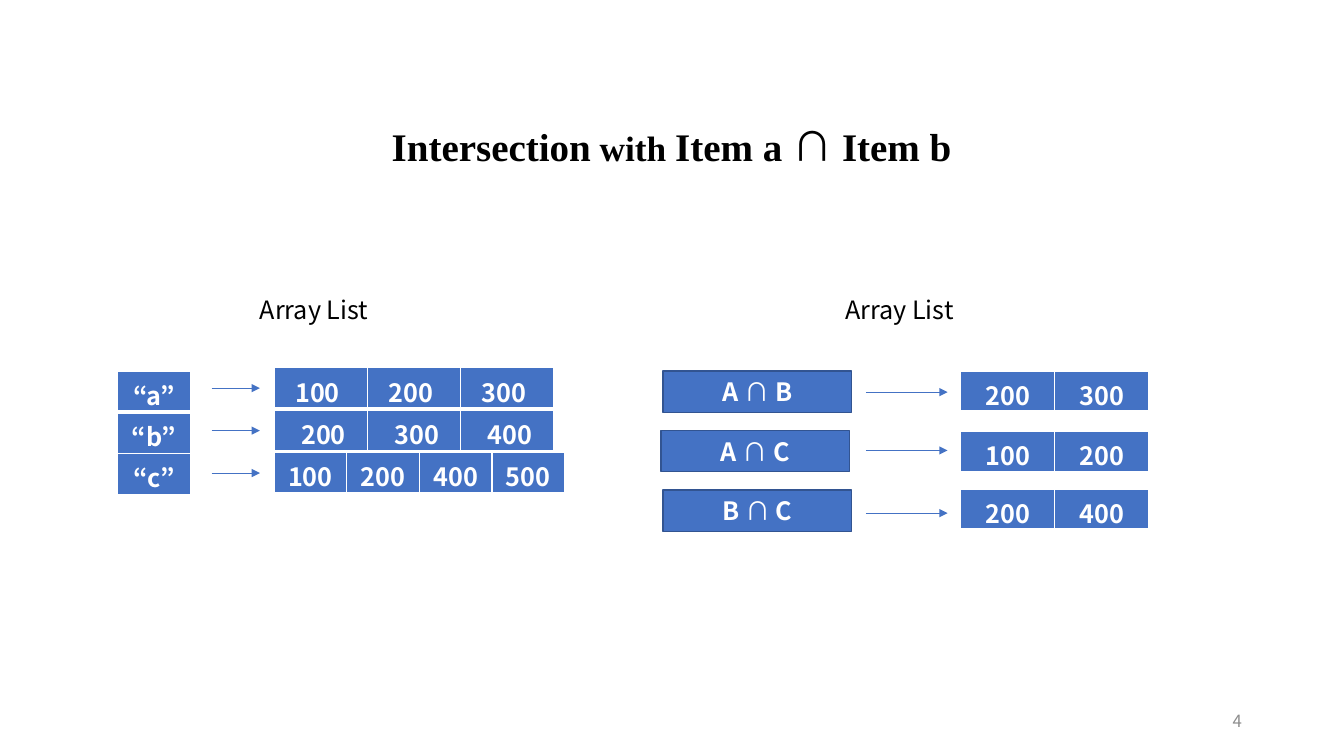
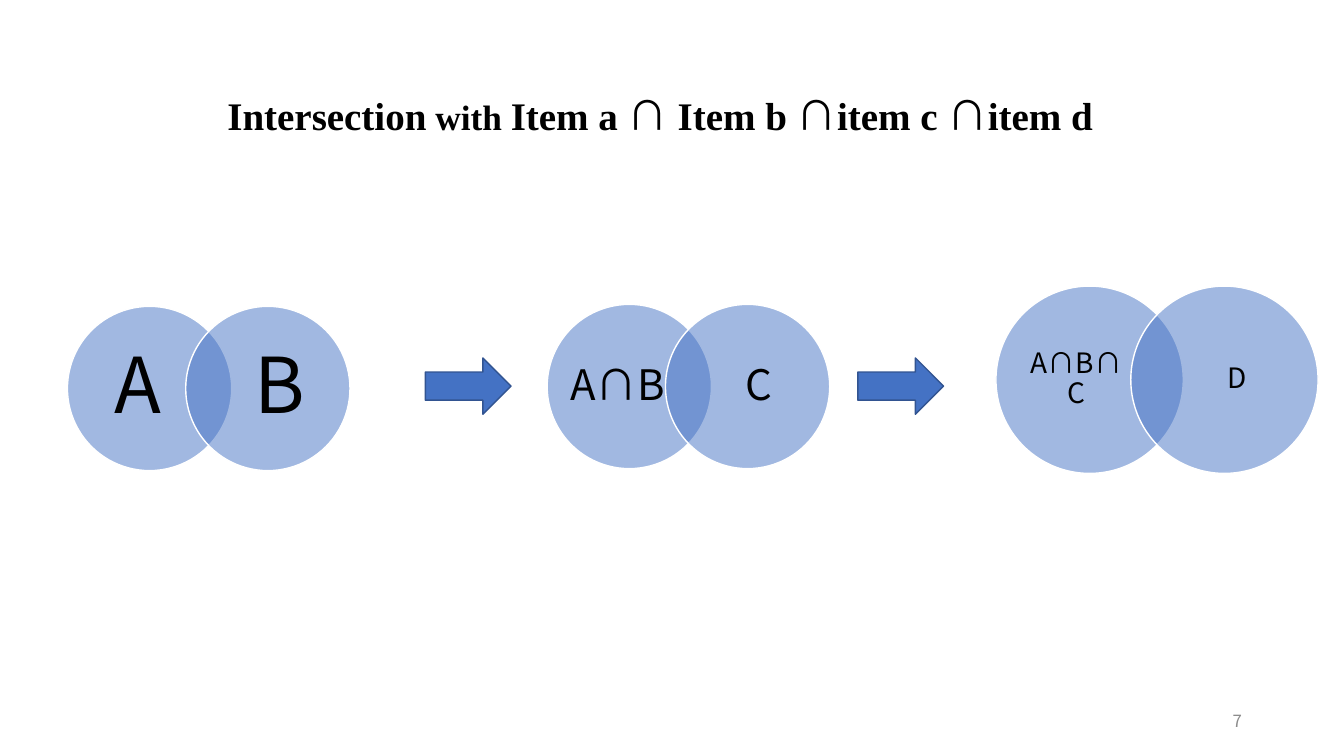
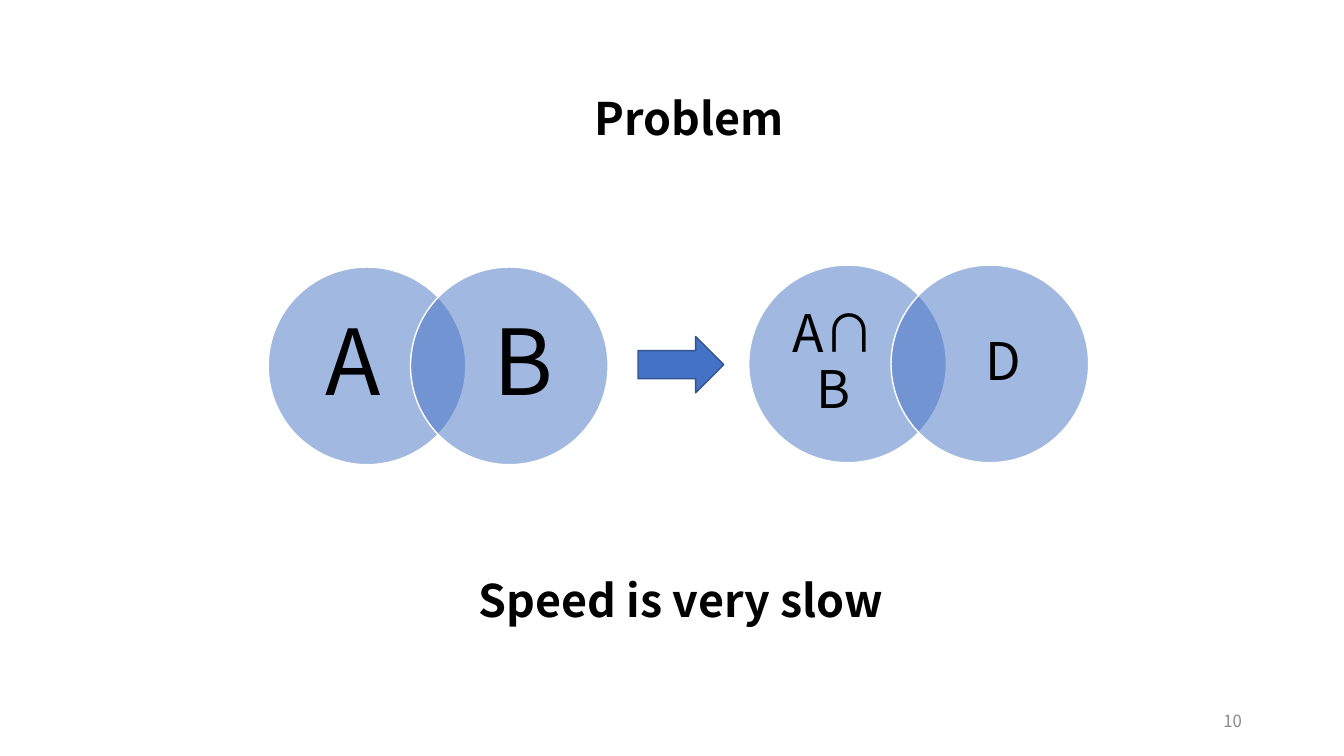
from lxml import etree
from pptx import Presentation
from pptx.dml.color import RGBColor
from pptx.enum.shapes import MSO_CONNECTOR, MSO_SHAPE
from pptx.enum.text import MSO_ANCHOR, MSO_AUTO_SIZE, PP_ALIGN
from pptx.oxml.ns import qn
from pptx.util import Cm, Pt

COLORS = {"blue": "4472C4", "edge": "325491", "white": "FFFFFF",
          "black": "000000", "gray": "8C8C8C"}
SANS = "Noto Sans CJK KR"
SERIF = "Times New Roman"
LEFT, CENTER, RIGHT = PP_ALIGN.LEFT, PP_ALIGN.CENTER, PP_ALIGN.RIGHT
TOP, MIDDLE = MSO_ANCHOR.TOP, MSO_ANCHOR.MIDDLE
NO_AUTOSIZE = MSO_AUTO_SIZE.NONE
STRAIGHT = MSO_CONNECTOR.STRAIGHT
RECTANGLE, ELLIPSE, RIGHT_ARROW = (
    MSO_SHAPE.RECTANGLE, MSO_SHAPE.OVAL, MSO_SHAPE.RIGHT_ARROW)
CAP = "∩"
ROW_HEIGHT = 1.04


def rgb(name):
    return RGBColor.from_string(COLORS[name])


# Text
def format_span(span, size, font=SANS, bold=False, color="black"):
    span.font.size = Pt(size)
    span.font.bold = bold
    span.font.name = font
    span.font.color.rgb = rgb(color)
    east_asian = etree.SubElement(span._r.get_or_add_rPr(), qn("a:ea"))
    east_asian.set("typeface", font)


def split_caps(text, size, font=SANS, cap_size=None):
    """Bold spans, with each intersection sign in a regular span."""
    spans = []
    for index, part in enumerate(text.split(CAP)):
        if index:
            spans.append((CAP, cap_size or size, SANS, False))
        spans.append((part, size, font, True))
    return spans


def add_spans(para, spans, color="black"):
    for text, size, font, bold in spans:
        span = para.add_run()
        span.text = text
        format_span(span, size, font, bold, color)


def add_text(page, text, place, size, bold=False, color="black",
             align=CENTER, anchor=TOP):
    box = page.shapes.add_textbox(*[Cm(value) for value in place])
    frame = box.text_frame
    frame.word_wrap = True
    frame.vertical_anchor = anchor
    frame.text = text
    para = frame.paragraphs[0]
    para.alignment = align
    format_span(para.runs[0], size, bold=bold, color=color)
    return box


def add_page(deck, number, place, title_spans, line_spacing):
    """Title-only page with its title and page number."""
    page = deck.slides.add_slide(deck.slide_layouts[5])
    title = page.shapes.title
    title.left, title.top, title.width, title.height = map(Cm, place)
    frame = title.text_frame
    frame.word_wrap = True
    frame.auto_size = NO_AUTOSIZE
    frame.vertical_anchor = MIDDLE
    para = frame.paragraphs[0]
    para.alignment = CENTER
    para.line_spacing = line_spacing
    add_spans(para, title_spans)
    add_text(page, str(number), (23.93, 17.65, 7.62, 1.01), 12,
             color="gray", align=RIGHT, anchor=MIDDLE)
    return page


def intersection_title(items):
    return [("Intersection", 27.9, SERIF, True), (" with ", 25.2, SERIF, True),
            *split_caps(items, 27.9, SERIF, cap_size=28.8)]


# Shapes and arrows
def add_block(page, preset, place, line="edge"):
    block = page.shapes.add_shape(preset, *[Cm(value) for value in place])
    block.shadow.inherit = False
    block.fill.solid()
    block.fill.fore_color.rgb = rgb("blue")
    block.line.color.rgb = rgb(line)
    block.line.width = Pt(1)
    return block


def add_set_box(page, text, left, top):
    box = add_block(page, RECTANGLE, (left, top, 4.75, ROW_HEIGHT))
    frame = box.text_frame
    frame.vertical_anchor = MIDDLE
    para = frame.paragraphs[0]
    para.alignment = CENTER
    add_spans(para, split_caps(text, 18), "white")


def add_arrow(page, start, end, y):
    arrow = page.shapes.add_connector(STRAIGHT, Cm(start), Cm(y), Cm(end), Cm(y))
    arrow.line.color.rgb = rgb("blue")
    arrow.line.width = Pt(0.5)
    etree.SubElement(arrow.line._get_or_add_ln(), qn("a:tailEnd"), type="triangle")
    etree.SubElement(arrow._element.spPr, qn("a:effectLst"))


def add_venn(page, left, top, diameter, names, size):
    """Two overlapping circles; label places follow from the diameter."""
    for name, shift, inset in zip(names, (0, 0.72), (0.14, 0.28)):
        x = left + shift * diameter
        circle = add_block(page, ELLIPSE, (x, top, diameter, diameter), "white")
        color = circle._element.spPr.find(qn("a:solidFill"))[0]
        etree.SubElement(color, qn("a:alpha"), val="50000")
        place = (x + inset * diameter, top + 0.12 * diameter,
                 0.58 * diameter, 0.76 * diameter)
        label = add_text(page, name, place, size, anchor=MIDDLE)
        frame = label.text_frame
        frame.margin_left = frame.margin_right = 0
        frame.margin_top = frame.margin_bottom = 0
        frame.paragraphs[0].line_spacing = 0.9


def add_flow_arrow(page, left, top):
    add_block(page, RIGHT_ARROW, (left, top, 2.16, 1.42))


# Tables
def add_borders(cell, bottom):
    properties = cell._tc.get_or_add_tcPr()
    for side, width in (("L", 1), ("R", 1), ("T", 1), ("B", bottom)):
        line = etree.SubElement(properties, qn("a:ln" + side), w=str(Pt(width)))
        fill = etree.SubElement(line, qn("a:solidFill"))
        etree.SubElement(fill, qn("a:srgbClr"), val=COLORS["white"])


def add_array(page, rows, left, top, column, align=CENTER, indent=0.25, bottom=0):
    columns = len(rows[0])
    frame = page.shapes.add_table(len(rows), columns, Cm(left), Cm(top),
                                  Cm(column * columns), Cm(ROW_HEIGHT * len(rows)))
    table = frame.table
    table.first_row = table.horz_banding = False
    for line in table.columns:
        line.width = Cm(column)
    for row, values in enumerate(rows):
        for index, value in enumerate(values):
            cell = table.cell(row, index)
            add_borders(cell, bottom=1 if row else 3)
            cell.fill.solid()
            cell.fill.fore_color.rgb = rgb("blue")
            cell.margin_left = Cm(indent)
            cell.margin_bottom = Cm(bottom)
            cell.text = value
            para = cell.text_frame.paragraphs[0]
            para.alignment = align
            format_span(para.runs[0], 18, bold=True, color="white")


# Pages
def build_lists_page(deck):
    page = add_page(deck, 4, (7.44, 3.18, 18.97, 1.12),
                    intersection_title("Item a ∩ Item b"), 0.9)
    for left in (3.51, 18.26):
        add_text(page, "Array List", (left, 7.29, 8.81, 1.02), 18)

    # Items and their lists
    add_array(page, [["“a”"], ["“b”"], ["“c”"]], 2.97, 9.35, 1.83, bottom=0.13)
    add_array(page, [["100", "200", "300"]], 6.91, 9.27, 2.35, LEFT, indent=0.53)
    add_array(page, [["200", "300", "400"]], 6.91, 10.34, 2.35, indent=0.39)
    add_array(page, [["100", "200", "400", "500"]], 6.91, 11.4, 1.83, bottom=0.13)
    for index in range(3):
        add_arrow(page, 5.33, 6.55, 9.78 + 1.07 * index)

    # Pairs and their intersections
    pairs = [("A ∩ B", 16.71, ["200", "300"], 9.35, 9.88),
             ("A ∩ C", 16.66, ["100", "200"], 10.87, 11.35),
             ("B ∩ C", 16.71, ["200", "400"], 12.32, 12.93)]
    for index, (name, left, values, top, arrow_y) in enumerate(pairs):
        add_set_box(page, name, left, 9.35 + 1.5 * index)
        add_arrow(page, 21.82, 23.88, arrow_y)
        add_array(page, [values], 24.21, top, 2.37)


def build_chain_page(deck):
    page = add_page(deck, 7, (4.39, 2.41, 24.49, 1.12),
                    intersection_title("Item a ∩ Item b ∩item c ∩item d"), 0.9)
    add_venn(page, 1.7, 7.72, 4.14, ("A", "B"), 55)
    add_venn(page, 13.79, 7.67, 4.14, ("A∩B", "C"), 30)
    add_venn(page, 25.1, 7.21, 4.72, ("A∩B∩C", "D"), 20)
    for left in (10.72, 21.62):
        add_flow_arrow(page, left, 9.02)


def build_problem_page(deck):
    page = add_page(deck, 10, (8.46, 2.16, 17.81, 1.63),
                    [("Problem", 32, SANS, True)], 1.0)
    add_venn(page, 6.76, 6.73, 4.98, ("A", "B"), 65)
    add_venn(page, 18.87, 6.68, 4.98, ("A∩B", "D"), 37)
    add_flow_arrow(page, 16.08, 8.48)
    add_text(page, "Speed is very slow", (8.26, 14.3, 17.81, 1.63), 32, bold=True)


def main():
    deck = Presentation()
    deck.slide_width, deck.slide_height = Cm(33.87), Cm(19.05)
    build_lists_page(deck)
    build_chain_page(deck)
    build_problem_page(deck)
    deck.save("out.pptx")


main()
